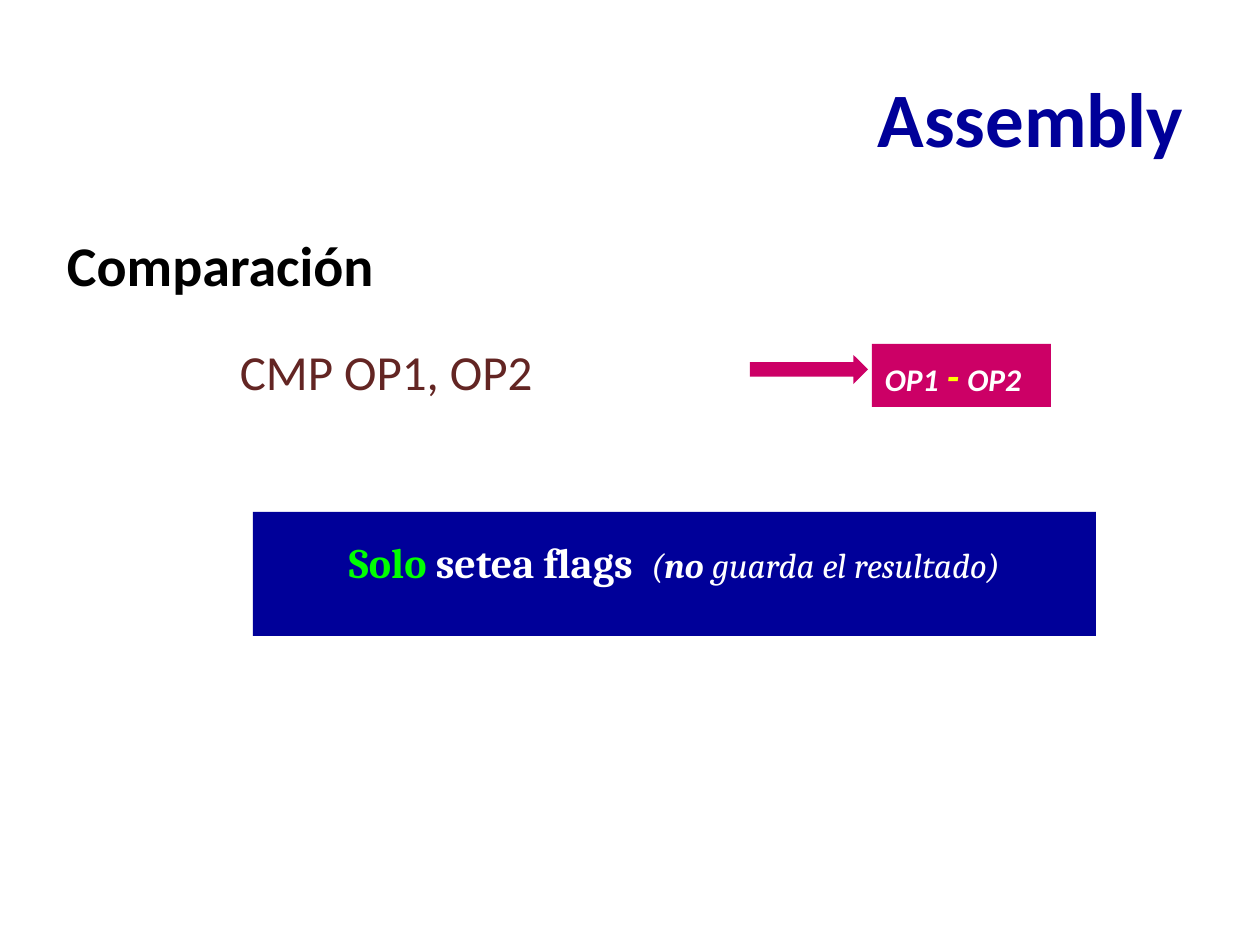
from pptx import Presentation
from pptx import util as u
from pptx.dml.color import RGBColor
from pptx.enum import shapes, text

PX = u.Inches(1) / 126
NAVY, PINK, WHITE = "000099", "CC0066", "FFFFFF"


def px(n):
    return u.Emu(round(n * PX))


def color(value):
    return RGBColor.from_string(value)


def add_runs(p, runs, **base):
    for content, fmt in runs:
        r = p.add_run()
        r.text = content
        for key, value in {**base, **fmt}.items():
            if key == "color":
                r.font.color.rgb = color(value)
            else:
                setattr(r.font, key, u.Pt(value) if key == "size" else value)


def add_frame(sp, anchor=text.MSO_ANCHOR.TOP, top=6):
    tf = sp.text_frame
    fmt = {"word_wrap": True, "vertical_anchor": anchor,
           "margin_left": px(13), "margin_right": px(13),
           "margin_top": px(top), "margin_bottom": px(6)}
    for key, value in fmt.items():
        setattr(tf, key, value)
    return tf


def add_block(s, kind, box, fill):
    sp = s.shapes.add_shape(kind, *map(px, box))
    sp.shadow.inherit = False
    sp.fill.solid()
    sp.fill.fore_color.rgb = color(fill)
    sp.line.fill.background()
    return sp


def add_title(s, box):
    sp = s.shapes.add_textbox(*map(px, box))
    p = add_frame(sp, text.MSO_ANCHOR.MIDDLE).paragraphs[0]
    p.alignment = text.PP_ALIGN.RIGHT
    add_runs(p, [("Assembly", {})], name="Calibri", size=44, bold=True, color=NAVY)


def add_body(s, box):
    tf = add_frame(s.shapes.add_textbox(*map(px, box)))
    add_runs(tf.paragraphs[0], [("Comparación", {})],
             name="Calibri", size=32, bold=True, color="000000")
    p = tf.add_paragraph()
    p.space_before = u.Pt(25)
    p._p.get_or_add_pPr().set("marL", str(px(173)))
    add_runs(p, [("CMP OP1, OP2", {})], name="Calibri", size=28, color="632523")


def add_operation(s, box):
    x, y, w, h = box
    block_w = 179
    block = (x + w - block_w, y, block_w, h)
    sp = add_block(s, shapes.MSO_SHAPE.RECTANGLE, block, PINK)
    p = add_frame(sp).paragraphs[0]
    p.alignment = text.PP_ALIGN.LEFT
    space = (" ", {"size": 20})
    add_runs(p, [("OP1", {}), space, ("-", {"size": 24, "color": "FFFF00"}),
                 space, ("OP2", {})],
             name="Calibri", size=18, bold=True, italic=True, color=WHITE)
    add_block(s, shapes.MSO_SHAPE.RIGHT_ARROW, (x, y + 11, 118, 29), PINK)


def add_note(s, box):
    sp = add_block(s, shapes.MSO_SHAPE.RECTANGLE, box, NAVY)
    p = add_frame(sp, top=25).paragraphs[0]
    p.alignment = text.PP_ALIGN.CENTER
    strong = {"size": 24, "bold": True}
    aside = {"size": 20, "italic": True}
    add_runs(p, [("Solo", {**strong, "color": "00FF00"}),
                 (" setea flags  ", strong), ("(", aside),
                 ("no", {**aside, "bold": True}),
                 (" guarda el resultado)", aside)],
             name="Cambria", bold=False, color=WHITE)


def main():
    prs = Presentation()
    prs.slide_width, prs.slide_height = px(1260), px(945)
    s = prs.slides.add_slide(prs.slide_layouts[6])
    add_title(s, (63, 38, 1134, 157))
    add_body(s, (54, 224, 1134, 624))
    add_operation(s, (750, 344, 301, 63))
    add_note(s, (253, 512, 843, 124))
    prs.save("out.pptx")


if __name__ == "__main__":
    main()
